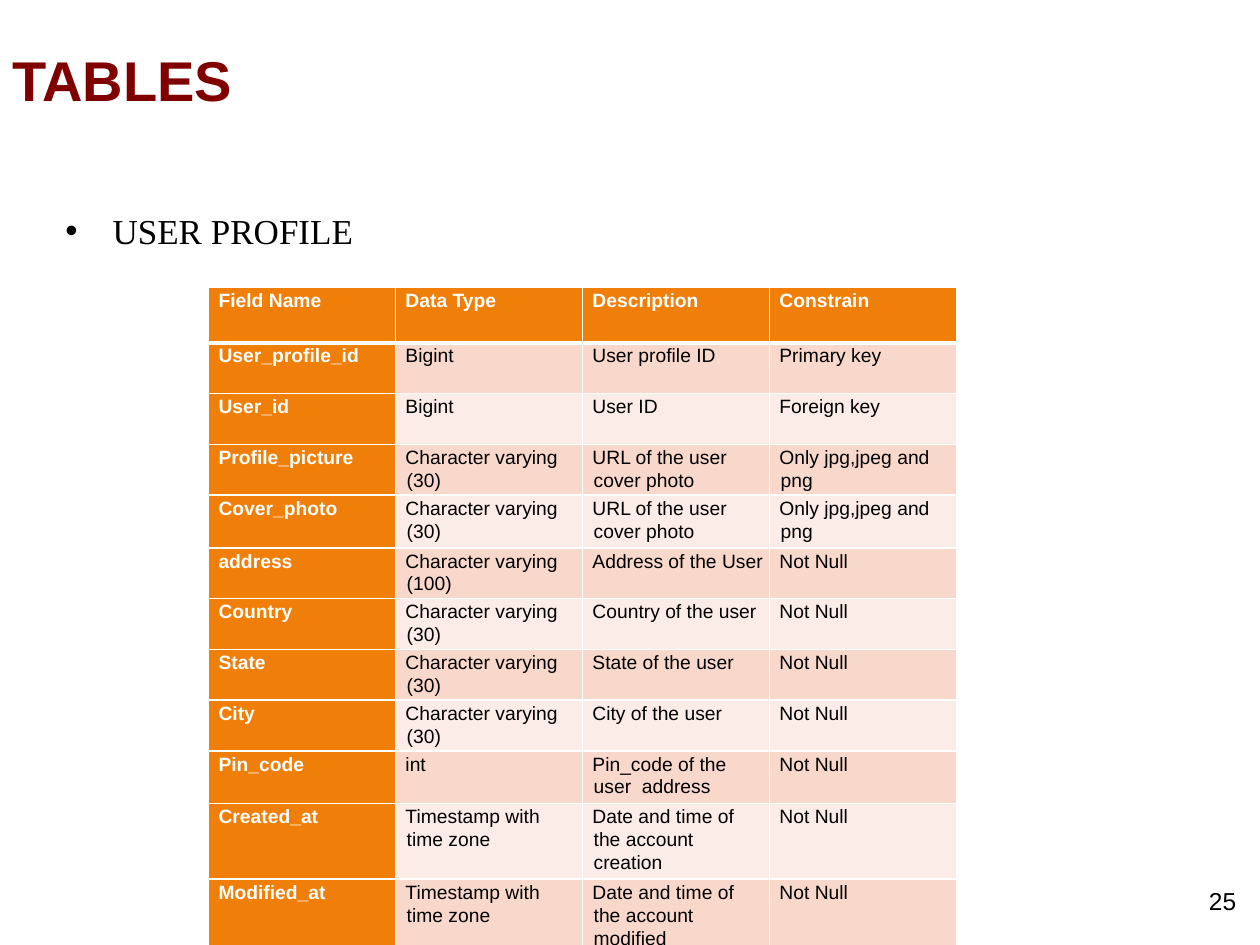
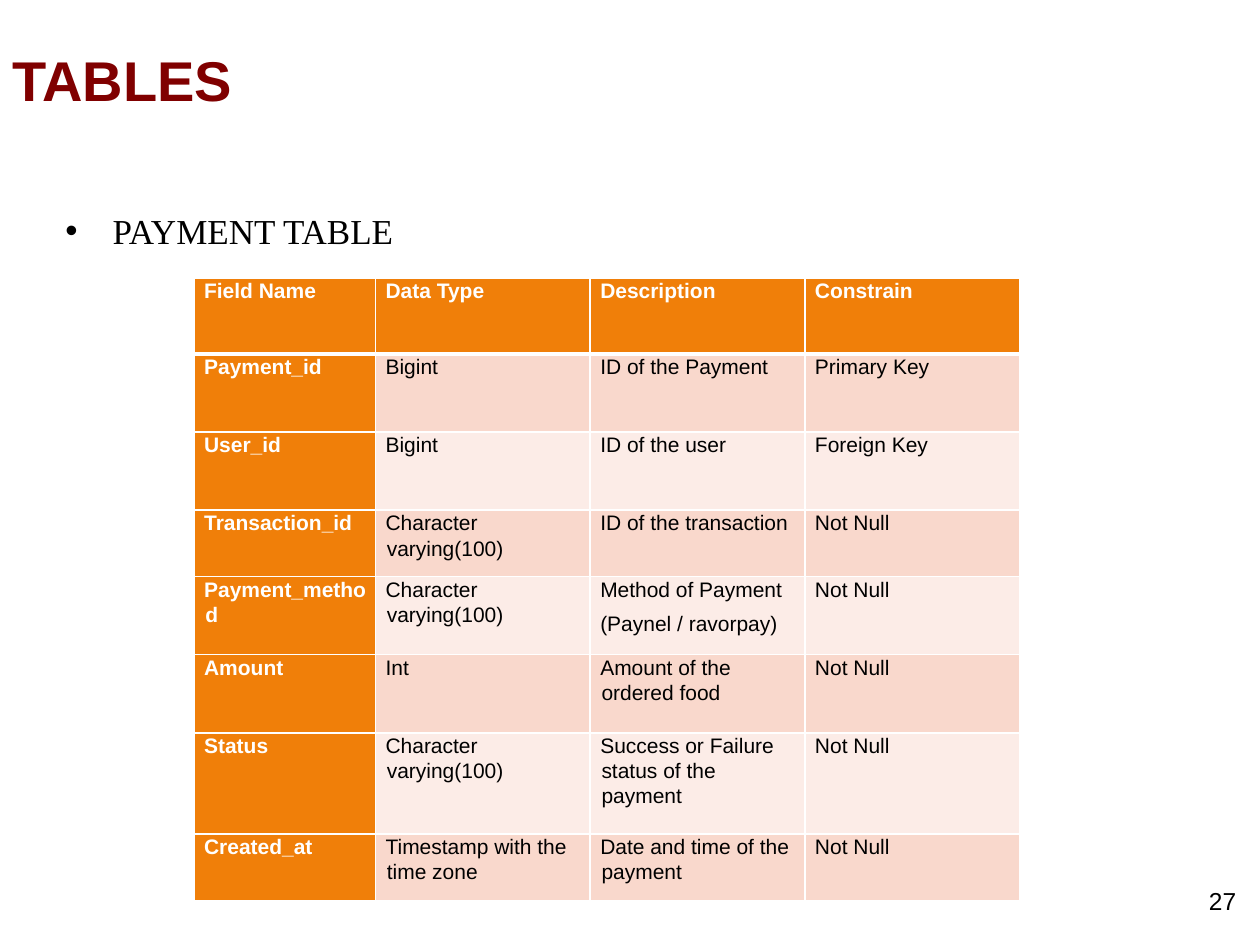
from dataclasses import dataclass

from lxml import etree
from pptx import Presentation
from pptx.dml.color import RGBColor
from pptx.enum.text import MSO_ANCHOR, PP_ALIGN
from pptx.oxml.ns import qn
from pptx.util import Pt

MIDDLE = MSO_ANCHOR.MIDDLE
TOP = MSO_ANCHOR.TOP
RIGHT = PP_ALIGN.RIGHT
BLANK_LAYOUT = 6


@dataclass(frozen=True)
class Theme:
    sans: str = "Arial"
    serif: str = "Times New Roman"
    title_color: str = "800000"
    text_color: str = "000000"
    header_text: str = "FFFFFF"
    header_fill: str = "F07F09"
    band_fills: tuple = ("F9D8CC", "FCECE7")
    border: str = "FFFFFF"
    thin: float = 1
    thick: float = 3
    title_size: float = 32
    subject_size: float = 20
    number_size: float = 14


@dataclass(frozen=True)
class TableLayout:
    box: tuple  # left and top
    columns: tuple
    heights: tuple
    size: float
    margins: tuple  # left, top, right, bottom


THEME = Theme()
TITLE_BOX = (0, 0, 630, 90)
SUBJECT_BOX = (30.24, 111.6, 648, 356.4)
NUMBER_BOX = (545.76, 502.56, 167.76, 37.44)
HEADINGS = ("Field Name", "Data Type", "Description", "Constrain")

PROFILE_LAYOUT = TableLayout(
    box=(119.1, 164.4),
    columns=(106.85,) * 4,
    heights=(31.5, 29, 29, 29, 30.2, 29, 29, 29, 29, 30.2, 40, 40),
    size=11,
    margins=(5.04, 0.72, 2.16, 0),
)
PROFILE_FIELDS = (
    ("User_profile_id", "Bigint", "User profile ID", "Primary key"),
    ("User_id", "Bigint", "User ID", "Foreign key"),
    ("Profile_picture", "Character varying (30)", "URL of the user cover photo", "Only jpg,jpeg and png"),
    ("Cover_photo", "Character varying (30)", "URL of the user cover photo", "Only jpg,jpeg and png"),
    ("address", "Character varying (100)", "Address of the User", "Not Null"),
    ("Country", "Character varying (30)", "Country of the user", "Not Null"),
    ("State", "Character varying (30)", "State of the user", "Not Null"),
    ("City", "Character varying (30)", "City of the user", "Not Null"),
    ("Pin_code", "int", "Pin_code of the user  address", "Not Null"),
    ("Created_at", "Timestamp with time zone", "Date and time of the account creation", "Not Null"),
    ("Modified_at", "Timestamp with time zone", "Date and time of the account modified", "Not Null"),
)

PAYMENT_LAYOUT = TableLayout(
    box=(110.88, 158.8),
    columns=(103.7,) + (122.7,) * 3,
    heights=(43.5, 44.64, 44.64, 38, 44.64, 44.64, 57.8, 38),
    size=12,
    margins=(5.04, 0, 5.04, 0),
)
PAYMENT_FIELDS = (
    ("Payment_id", "Bigint", "ID of the Payment", "Primary Key"),
    ("User_id", "Bigint", "ID of the user", "Foreign Key"),
    ("Transaction_id", "Character varying(100)", "ID of the transaction", "Not Null"),
    ("Payment_method", "Character varying(100)", "Method of Payment\n(Paynel / ravorpay)", "Not Null"),
    ("Amount", "Int", "Amount of the ordered food", "Not Null"),
    ("Status", "Character varying(100)", "Success or Failure status of the payment", "Not Null"),
    ("Created_at", "Timestamp with the time zone", "Date and time of the payment", "Not Null"),
)


def add_run(paragraph, text, font, size, color, bold=False):
    run = paragraph.add_run()
    run.text = text
    run.font.name = font
    run.font.size = Pt(size)
    run.font.bold = bold
    run.font.color.rgb = RGBColor.from_string(color)


def set_indent(paragraph, left, first):
    properties = paragraph._p.get_or_add_pPr()
    properties.set("marL", str(Pt(left)))
    properties.set("indent", str(Pt(first)))
    return properties


def add_text_paragraph(slide, box, anchor=TOP):
    """Add a wrapping text box and return its first paragraph."""
    frame = slide.shapes.add_textbox(*map(Pt, box)).text_frame
    frame.word_wrap = True
    frame.vertical_anchor = anchor
    return frame.paragraphs[0]


def add_title(slide, box, text):
    paragraph = add_text_paragraph(slide, box, MIDDLE)
    add_run(paragraph, text, THEME.sans, THEME.title_size, THEME.title_color, bold=True)


def add_subject(slide, box, text):
    paragraph = add_text_paragraph(slide, box)
    paragraph.line_spacing = 1.2
    paragraph.space_before = Pt(4)
    properties = set_indent(paragraph, 27, -27)
    etree.SubElement(properties, qn("a:buFont"), typeface=THEME.sans)
    etree.SubElement(properties, qn("a:buChar"), char="•")
    add_run(paragraph, text, THEME.serif, THEME.subject_size, THEME.text_color)


def add_slide_number(slide, box, number):
    paragraph = add_text_paragraph(slide, box)
    paragraph.alignment = RIGHT
    add_run(paragraph, str(number), THEME.sans, THEME.number_size, THEME.text_color)


def set_borders(cell, row):
    """Draw thin borders, with a thick rule between the header and the first field."""
    properties = cell._tc.get_or_add_tcPr()
    thick_side = {0: "lnB", 1: "lnT"}.get(row)
    for side in ("lnL", "lnR", "lnT", "lnB"):
        width = THEME.thick if side == thick_side else THEME.thin
        line = etree.SubElement(properties, qn(f"a:{side}"), w=str(Pt(width)))
        fill = etree.SubElement(line, qn("a:solidFill"))
        etree.SubElement(fill, qn("a:srgbClr"), val=THEME.border)


def fill_cell(cell, text, row, column, layout):
    is_heading = row == 0 or column == 0
    set_borders(cell, row)
    cell.fill.solid()
    color = THEME.header_fill if is_heading else THEME.band_fills[(row - 1) % 2]
    cell.fill.fore_color.rgb = RGBColor.from_string(color)
    cell.margin_left, cell.margin_top, cell.margin_right, cell.margin_bottom = map(Pt, layout.margins)
    frame = cell.text_frame
    for index, line in enumerate(text.split("\n")):
        paragraph = frame.add_paragraph() if index else frame.paragraphs[0]
        paragraph.line_spacing = 1.07
        paragraph.space_after = Pt(5.3)
        set_indent(paragraph, 1.44, -0.72)
        text_color = THEME.header_text if is_heading else THEME.text_color
        add_run(paragraph, line, THEME.sans, layout.size, text_color, bold=is_heading)


def add_field_table(slide, layout, fields):
    rows = (HEADINGS, *fields)
    box = (*layout.box, sum(layout.columns), sum(layout.heights))
    table = slide.shapes.add_table(len(rows), len(HEADINGS), *map(Pt, box)).table
    for column, width in zip(table.columns, layout.columns):
        column.width = Pt(width)
    for row_index, (texts, height) in enumerate(zip(rows, layout.heights)):
        table.rows[row_index].height = Pt(height)
        for column_index, text in enumerate(texts):
            fill_cell(table.cell(row_index, column_index), text, row_index, column_index, layout)


def add_table_slide(presentation, subject, number, layout, fields):
    slide = presentation.slides.add_slide(presentation.slide_layouts[BLANK_LAYOUT])
    add_title(slide, TITLE_BOX, "TABLES")
    add_subject(slide, SUBJECT_BOX, subject)
    add_slide_number(slide, NUMBER_BOX, number)
    add_field_table(slide, layout, fields)


def main():
    presentation = Presentation()
    presentation.slide_width = Pt(720)
    presentation.slide_height = Pt(540)
    add_table_slide(presentation, "USER PROFILE", 25, PROFILE_LAYOUT, PROFILE_FIELDS)
    add_table_slide(presentation, "PAYMENT TABLE", 27, PAYMENT_LAYOUT, PAYMENT_FIELDS)
    presentation.save("out.pptx")


if __name__ == "__main__":
    main()
